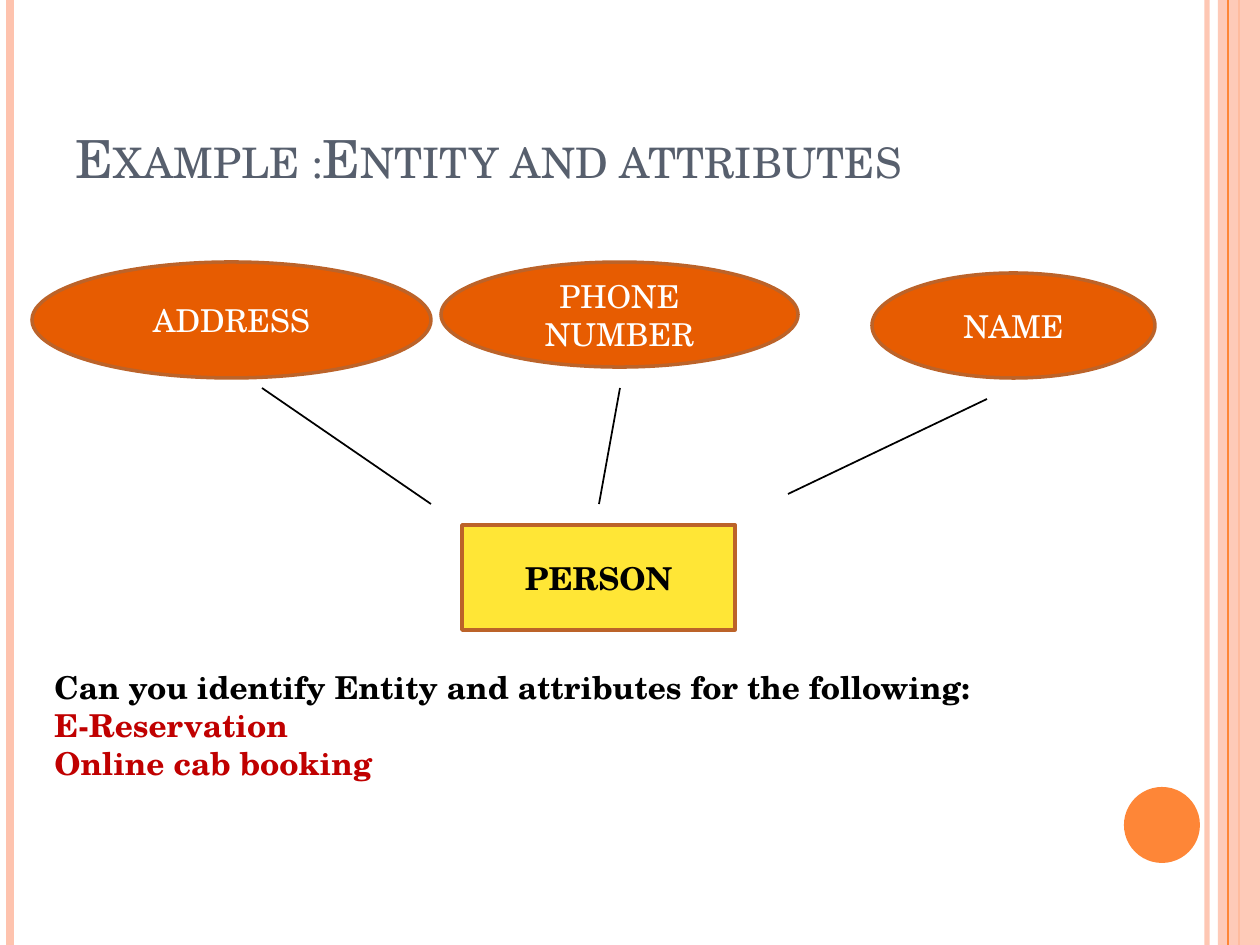
from lxml import etree
from pptx import Presentation
from pptx.dml.color import RGBColor
from pptx.enum.shapes import MSO_CONNECTOR, MSO_SHAPE
from pptx.enum.text import MSO_ANCHOR, PP_ALIGN
from pptx.oxml.ns import qn
from pptx.util import Emu, Pt

OVAL, RECTANGLE = MSO_SHAPE.OVAL, MSO_SHAPE.RECTANGLE
STRAIGHT = MSO_CONNECTOR.STRAIGHT
MIDDLE, BOTTOM = MSO_ANCHOR.MIDDLE, MSO_ANCHOR.BOTTOM
LEFT, CENTER = PP_ALIGN.LEFT, PP_ALIGN.CENTER
TITLE_ONLY = 5

# Content: boxes are left, top, width, height in px
TITLE = ("Example :Entity and attributes", (63, 38, 1029, 157))
ENTITY = ("PERSON", (462, 525, 273, 105))
ATTRIBUTES = [
    ("PHONE NUMBER", (441, 262, 357, 105)),
    ("ADDRESS", (32, 262, 399, 116)),
    ("NAME", (872, 273, 283, 105)),
]
LINKS = [(262, 388, 431, 504), (620, 388, 599, 504), (987, 399, 788, 494)]
QUESTION_BOX = (42, 662, 1113, 165)
QUESTION = [
    ("Can you identify Entity and attributes for the following:", "black"),
    ("E-Reservation", "red"),
    ("Online cab booking", "red"),
]

THEME = {
    "font": "TeX Gyre Schola", "title_size": 30, "body_size": 18,
    "white": "FFFFFF", "black": "000000", "red": "C00000", "slate": "575F6D",
    "peach": "FEC3AE", "orange": "FE8637", "deep_orange": "E75C01",
    "yellow": "FFE636", "brown": "BC6329",
}

# Frame: vertical stripes as x, colour, points, opacity %
HEIGHT = 945
STRIPES_BEHIND = [(1207, "peach", 3, 93), (10, "peach", 4.5, 100), (1239, "orange", 1.5, 100)]
STRIPE_FRONT = (1228, "orange", 0.75, 100)
BAND = (1218, 0, 42, HEIGHT)
DISC = (1124, 787, 76, 76)


def px(value):
    return Emu(round(value * 914400 / 126))


def color(name):
    return RGBColor.from_string(THEME[name])


def set_opacity(properties, percent):
    if percent < 100:
        fill_color = next(properties.iter(qn("a:srgbClr")))
        etree.SubElement(fill_color, qn("a:alpha"), val=str(percent * 1000))


def format_paragraph(paragraph, color_name, size="body_size", bold=False, align=LEFT):
    paragraph.alignment = align
    for run in paragraph.runs:
        run.font.name = THEME["font"]
        run.font.size = Pt(THEME[size])
        run.font.bold = bold
        run.font.color.rgb = color(color_name)


def add_line(slide, ends, color_name, width, opacity=100):
    line = slide.shapes.add_connector(STRAIGHT, *map(px, ends))
    line.line.color.rgb = color(color_name)
    line.line.width = Pt(width)
    properties = line._element.spPr
    set_opacity(properties, opacity)
    etree.SubElement(properties, qn("a:effectLst"))


def add_stripe(slide, x, *style):
    add_line(slide, (x, 0, x, HEIGHT), *style)


def add_filled(slide, kind, box, fill, opacity=100):
    shape = slide.shapes.add_shape(kind, *map(px, box))
    shape.shadow.inherit = False
    shape.fill.solid()
    shape.fill.fore_color.rgb = color(fill)
    set_opacity(shape._element.spPr, opacity)
    shape.line.fill.background()
    return shape


def add_node(slide, kind, text, box, fill, text_color, bold=False):
    shape = add_filled(slide, kind, box, fill)
    shape.line.color.rgb = color("brown")
    shape.line.width = Pt(2)
    frame = shape.text_frame
    frame.text = text
    frame.word_wrap = True
    frame.vertical_anchor = MIDDLE
    format_paragraph(frame.paragraphs[0], text_color, bold=bold, align=CENTER)


def add_title(slide):
    text, box = TITLE
    title = slide.shapes.title
    title.left, title.top, title.width, title.height = map(px, box)
    frame = title.text_frame
    frame.text = text
    frame.vertical_anchor = BOTTOM
    paragraph = frame.paragraphs[0]
    format_paragraph(paragraph, "slate", size="title_size")
    paragraph.runs[0].font._element.set("cap", "small")


def add_question(slide):
    frame = slide.shapes.add_textbox(*map(px, QUESTION_BOX)).text_frame
    frame.word_wrap = True
    frame.text = "\n".join(text for text, _ in QUESTION)
    for paragraph, (_, color_name) in zip(frame.paragraphs, QUESTION):
        format_paragraph(paragraph, color_name, bold=True)


def main():
    presentation = Presentation()
    presentation.slide_width, presentation.slide_height = px(1260), px(HEIGHT)
    slide = presentation.slides.add_slide(presentation.slide_layouts[TITLE_ONLY])

    # Decorative frame
    for stripe in STRIPES_BEHIND:
        add_stripe(slide, *stripe)
    add_filled(slide, RECTANGLE, BAND, "peach", 87)
    add_stripe(slide, *STRIPE_FRONT)
    add_filled(slide, OVAL, DISC, "orange")

    # Title, diagram and question
    add_title(slide)
    add_node(slide, RECTANGLE, *ENTITY, "yellow", "black", bold=True)
    for text, box in ATTRIBUTES:
        add_node(slide, OVAL, text, box, "deep_orange", "white")
    for ends in LINKS:
        add_line(slide, ends, "black", 1)
    add_question(slide)

    presentation.save("out.pptx")


if __name__ == "__main__":
    main()
